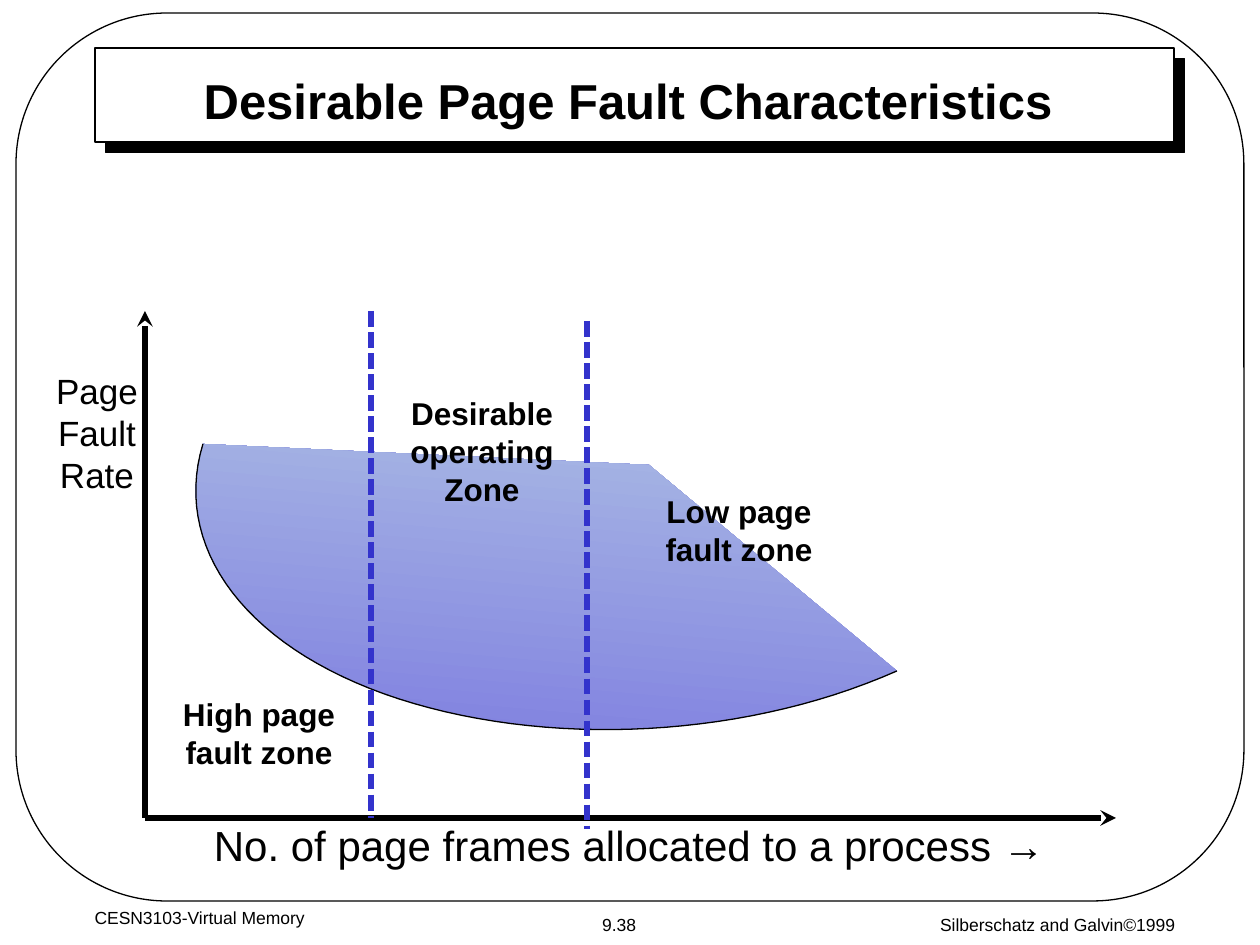
from dataclasses import dataclass

from lxml import etree
from pptx import Presentation
from pptx import util as u
from pptx.dml.color import RGBColor
from pptx.enum import dml, shapes, text
from pptx.oxml.ns import qn

PX = 914400 // 126  # EMU in one px


@dataclass(frozen=True)
class Theme:
    font: str = "Arial"
    ink: str = "000000"
    paper: str = "FFFFFF"
    divider: str = "3333CC"
    area_bottom: str = "8080E0"
    area_top: str = "A8B8E4"
    title: int = 28
    x_axis: int = 24
    y_axis: int = 20
    zone: int = 18
    footer: int = 10
    thin: float = 0.75
    thick: float = 3


THEME = Theme()


def px(*lengths):
    return [u.Emu(length * PX) for length in lengths]


def rgb(color):
    return RGBColor.from_string(color)


def set_line(line, color, width):
    line.color.rgb = rgb(color)
    line.width = u.Pt(width)


def add_label(slide, box, content, size, bold=False, wrap=True, middle=False):
    """Centred text; each line of content is a paragraph."""
    frame = slide.shapes.add_textbox(*px(*box)).text_frame
    frame.word_wrap = wrap
    frame.vertical_anchor = text.MSO_ANCHOR.MIDDLE if middle else text.MSO_ANCHOR.TOP
    frame.text = content
    for paragraph in frame.paragraphs:
        paragraph.alignment = text.PP_ALIGN.CENTER
        paragraph.font.name = THEME.font
        paragraph.font.size = u.Pt(size)
        paragraph.font.bold = bold
        paragraph.font.color.rgb = rgb(THEME.ink)


def add_panel(slide, kind, box, fill=None):
    shape = slide.shapes.add_shape(kind, *px(*box))
    shape.shadow.inherit = False
    if fill:
        shape.fill.solid()
        shape.fill.fore_color.rgb = rgb(fill)
    else:
        shape.fill.background()
    set_line(shape.line, THEME.ink, THEME.thin)
    return shape


def add_hard_shadow(shape):
    effects = shape._element.spPr.find(qn("a:effectLst"))
    shadow = etree.SubElement(effects, qn("a:outerShdw"), blurRad="0",
                              dist=str(u.Pt(8.5)), dir="2700000",
                              algn="tl", rotWithShape="0")
    etree.SubElement(shadow, qn("a:srgbClr"), val=THEME.ink)


def add_rule(slide, start, end, color, arrow=False, dashed=False):
    connector = slide.shapes.add_connector(
        shapes.MSO_CONNECTOR.STRAIGHT, *px(*start, *end))
    set_line(connector.line, color, THEME.thick)
    if dashed:
        connector.line.dash_style = dml.MSO_LINE.SQUARE_DOT
    properties = connector._element.spPr
    if arrow:
        etree.SubElement(properties.find(qn("a:ln")), qn("a:tailEnd"), type="stealth")
    etree.SubElement(properties, qn("a:effectLst"))


def bezier(start, control_1, control_2, end, steps=30):
    """Points on a cubic curve, without its start."""
    for step in range(1, steps + 1):
        t = step / steps
        weights = ((1 - t) ** 3, 3 * t * (1 - t) ** 2, 3 * t * t * (1 - t), t ** 3)
        yield tuple(sum(w * p for w, p in zip(weights, axis))
                    for axis in zip(start, control_1, control_2, end))


def add_outline(slide, points, close):
    scale = 100  # freeform units in one px
    points = [(round(x * scale), round(y * scale)) for x, y in points]
    builder = slide.shapes.build_freeform(*points[0], scale=PX / scale)
    builder.add_line_segments(points[1:], close=close)
    shape = builder.convert_to_shape()
    shape.shadow.inherit = False
    return shape


def add_fault_curve(slide):
    start, low, end = (897, 671), (399, 699), (203, 444)
    curve = [start,
             *bezier(start, (746, 738), (551, 748), low),
             *bezier(low, (248, 650), (171, 549), end)]

    area = add_outline(slide, curve + [(649, 465)], close=True)
    area.fill.gradient()
    area.fill.gradient_angle = 85
    for stop, color in zip(area.fill.gradient_stops,
                           (THEME.area_bottom, THEME.area_top)):
        stop.color.rgb = rgb(color)
    area.line.fill.background()

    edge = add_outline(slide, curve, close=False)
    edge.fill.background()
    set_line(edge.line, THEME.ink, THEME.thin)


def main():
    presentation = Presentation()
    presentation.slide_width, presentation.slide_height = u.Inches(10), u.Inches(7.5)
    slide = presentation.slides.add_slide(presentation.slide_layouts[6])

    # Title panel and slide frame
    title_panel = add_panel(slide, shapes.MSO_SHAPE.RECTANGLE,
                            (95, 48, 1079, 94), THEME.paper)
    add_hard_shadow(title_panel)
    frame = add_panel(slide, shapes.MSO_SHAPE.ROUNDED_RECTANGLE, (16, 13, 1228, 888))
    frame.adjustments[0] = 0.17
    add_label(slide, (154, 68, 948, 63), "Desirable Page Fault Characteristics",
              THEME.title, bold=True, middle=True)

    # Footer
    add_label(slide, (0, 901, 399, 44), "CESN3103-Virtual Memory", THEME.footer)
    add_label(slide, (560, 907, 118, 34), "9.38", THEME.footer, wrap=False, middle=True)
    add_label(slide, (858, 908, 399, 37), "Silberschatz and Galvin©1999", THEME.footer)

    # Axes and curve
    origin = (145, 818)
    add_rule(slide, origin, (145, 311), THEME.ink, arrow=True)
    add_rule(slide, origin, (1116, 818), THEME.ink, arrow=True)
    add_fault_curve(slide)
    add_label(slide, (25, 363, 144, 139), "Page\nFault\nRate", THEME.y_axis)
    add_label(slide, (174, 813, 911, 63),
              "No. of page frames allocated to a process →", THEME.x_axis)

    # Zone borders and names
    for x, top, bottom in ((371, 311, 818), (587, 321, 829)):
        add_rule(slide, (x, top), (x, bottom), THEME.divider, dashed=True)
    for left, top, height, name in ((169, 689, 88, "High page fault zone"),
                                    (392, 388, 126, "Desirable operating Zone"),
                                    (649, 486, 88, "Low page fault zone")):
        add_label(slide, (left, top, 180, height), name, THEME.zone, bold=True)

    presentation.save("out.pptx")


if __name__ == "__main__":
    main()
